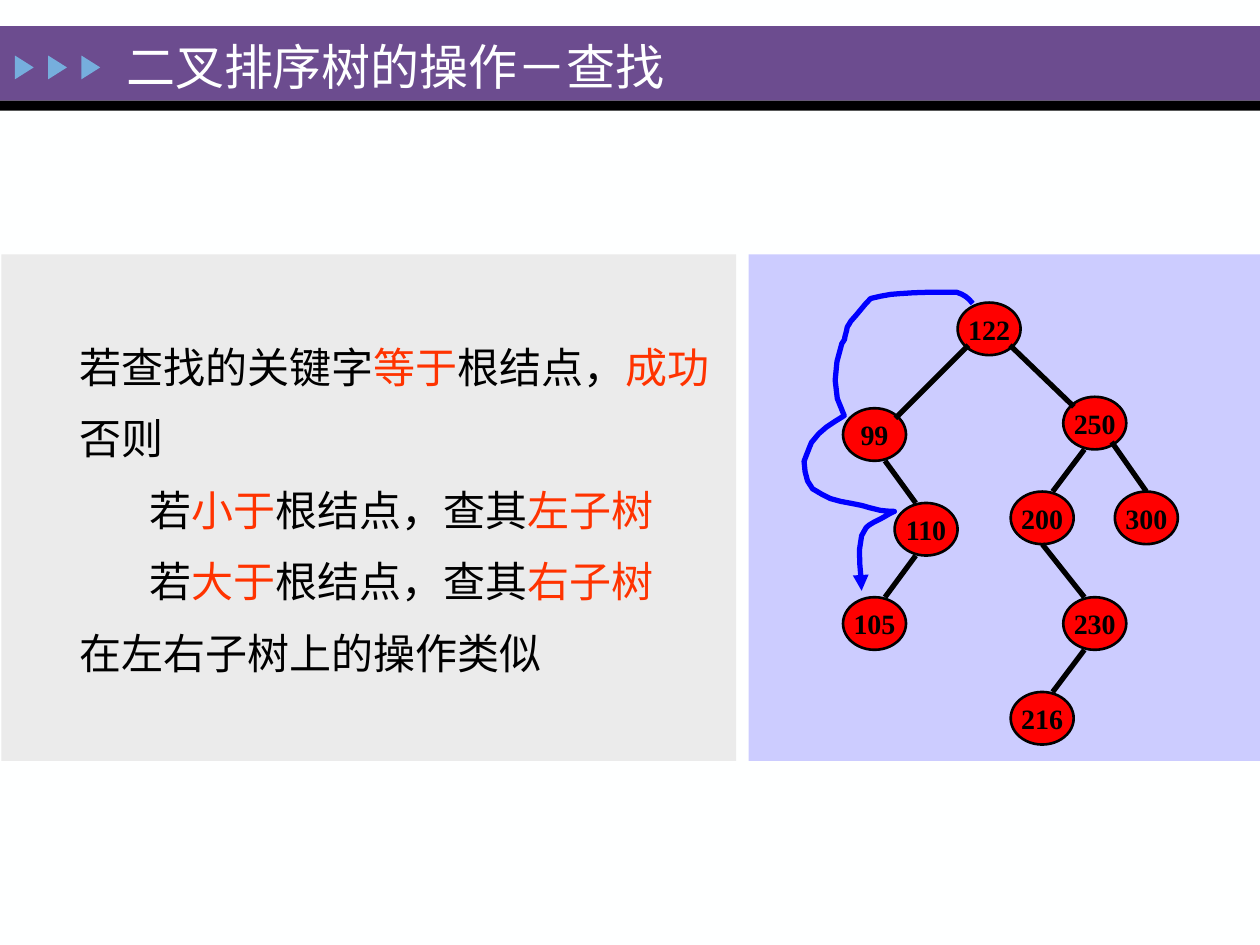
from typing import NamedTuple

from pptx import Presentation
from pptx.dml.color import RGBColor
from pptx.enum.shapes import MSO_CONNECTOR, MSO_SHAPE
from pptx.enum.text import MSO_ANCHOR, MSO_AUTO_SIZE, PP_ALIGN
from pptx.oxml.xmlchemy import OxmlElement
from pptx.util import Cm, Pt

RECTANGLE, TRIANGLE, OVAL = MSO_SHAPE.RECTANGLE, MSO_SHAPE.ISOSCELES_TRIANGLE, MSO_SHAPE.OVAL
STRAIGHT = MSO_CONNECTOR.STRAIGHT
MIDDLE, TOP = MSO_ANCHOR.MIDDLE, MSO_ANCHOR.TOP
CENTER, LEFT = PP_ALIGN.CENTER, PP_ALIGN.LEFT
NO_AUTOFIT = MSO_AUTO_SIZE.NONE

COLORS = {
    "paper": "FEFFFF", "band": "6C4C8F", "ink": "000000", "marker": "76AEDD",
    "tree panel": "CCCCFF", "text panel": "EBEBEB", "node": "FF0000",
    "keyword": "FF3300", "route": "0000FF",
}
FONT = "Times New Roman"


class Block(NamedTuple):
    left: float
    top: float
    width: float
    height: float
    color: str


class Node(NamedTuple):
    x: float
    y: float


class Edge(NamedTuple):
    """Offsets are distances from the node centres, towards the other node."""
    parent: int
    child: int
    start: tuple[float, float] = (0.21, 0.53)
    end: tuple[float, float] = (0.21, 0.53)


class Line(NamedTuple):
    indent: float
    spans: list[tuple[str, str]]


BLOCKS = [
    Block(0, 0.53, 25.4, 1.5, "band"),
    Block(0, 2.03, 25.4, 0.2, "ink"),
    Block(15.09, 5.13, 10.31, 10.21, "tree panel"),
    Block(0.03, 5.13, 14.81, 10.21, "text panel"),
]

NODE_WIDTH, NODE_HEIGHT = 1.27, 1.06
NODES = {
    122: Node(19.94, 6.63), 250: Node(22.07, 8.53), 300: Node(23.11, 10.44),
    110: Node(18.67, 10.67), 200: Node(21.01, 10.44), 99: Node(17.63, 8.76),
    105: Node(17.63, 12.57), 230: Node(22.07, 12.57), 216: Node(21.01, 14.48),
}
SHOULDER = (0.42, 0.33)
POLE = (0, 0.53)
EDGES = [
    Edge(122, 99, SHOULDER, SHOULDER), Edge(122, 250, SHOULDER, SHOULDER),
    Edge(250, 300, (0.34, 0.38), POLE), Edge(250, 200), Edge(99, 110),
    Edge(110, 105), Edge(200, 230, start=POLE), Edge(230, 216),
]

ROUTE_START = (19.61, 6.12)
# Each row holds two control points and the end point of a cubic curve.
ROUTE_CURVES = [
    ((19.51, 5.99), (19.43, 5.94), (19.28, 5.89)),
    ((18.9, 5.89), (18.52, 5.89), (18.14, 5.92)),
    ((17.93, 5.92), (17.55, 6.02), (17.55, 6.02)),
    ((17.4, 6.17), (17.3, 6.32), (17.15, 6.48)),
    ((17.12, 6.55), (17.07, 6.58), (17.07, 6.65)),
    ((16.97, 6.99), (17.09, 6.73), (16.97, 6.93)),
    ((16.81, 7.39), (16.76, 7.95), (17.02, 8.38)),
    ((16.74, 8.56), (16.56, 8.64), (16.36, 8.92)),
    ((16.31, 9.04), (16.26, 9.17), (16.21, 9.3)),
    ((16.23, 9.58), (16.26, 9.86), (16.56, 9.96)),
    ((16.76, 10.11), (17.12, 10.13), (17.37, 10.19)),
    ((17.45, 10.21), (17.53, 10.24), (17.63, 10.26)),
    ((17.75, 10.31), (18.03, 10.31), (18.03, 10.31)),
    ((17.91, 10.36), (17.78, 10.46), (17.63, 10.52)),
    ((17.42, 10.64), (17.48, 10.62), (17.37, 10.8)),
    ((17.27, 11.18), (17.37, 11.53), (17.37, 11.91)),
]
CURVE_STEPS = 4

LINES = [
    Line(1.27, [("若查找的关键字", "ink"), ("等于", "keyword"), ("根结点，", "ink"), ("成功", "keyword")]),
    Line(1.27, [("否则", "ink")]),
    Line(2.68, [("若", "ink"), ("小于", "keyword"), ("根结点，查其", "ink"), ("左子树", "keyword")]),
    Line(2.68, [("若", "ink"), ("大于", "keyword"), ("根结点，查其", "ink"), ("右子树", "keyword")]),
    Line(1.27, [("在左右子树上的操作类似", "ink")]),
]


def rgb(name: str) -> RGBColor:
    return RGBColor.from_string(COLORS[name])


def apply(target, values: dict) -> None:
    for name, value in values.items():
        setattr(target, name, value)


def add_span(para, text: str, color: str, size: float, bold: bool = False) -> None:
    span = para.add_run()
    span.text = text
    apply(span.font, {"name": FONT, "size": Pt(size), "bold": bold})
    span.font.color.rgb = rgb(color)


def draw_block(slide, block: Block, kind=RECTANGLE):
    shape = slide.shapes.add_shape(kind, *map(Cm, block[:4]))
    shape.shadow.inherit = False
    shape.fill.solid()
    shape.fill.fore_color.rgb = rgb(block.color)
    shape.line.fill.background()
    return shape


def draw_node(slide, key: int, node: Node) -> None:
    block = Block(node.x - NODE_WIDTH / 2, node.y - NODE_HEIGHT / 2, NODE_WIDTH, NODE_HEIGHT, "node")
    shape = draw_block(slide, block, OVAL)
    shape.line.color.rgb = rgb("ink")
    shape.line.width = Pt(1.5)
    apply(shape.text_frame, {"word_wrap": False, "vertical_anchor": MIDDLE})
    para = shape.text_frame.paragraphs[0]
    para.alignment = CENTER
    add_span(para, str(key), "ink", 16, bold=True)


def draw_edge(slide, edge: Edge) -> None:
    parent, child = NODES[edge.parent], NODES[edge.child]
    side = 1 if child.x > parent.x else -1
    ends = (parent.x + side * edge.start[0], parent.y + edge.start[1],
            child.x - side * edge.end[0], child.y - edge.end[1])
    line = slide.shapes.add_connector(STRAIGHT, *map(Cm, ends))
    line.line.color.rgb = rgb("ink")
    line.line.width = Pt(3)
    line.element.spPr.append(OxmlElement("a:effectLst"))


def curve_points(start, curves) -> list[tuple[int, int]]:
    points = []
    for first, second, end in curves:
        for step in range(1, CURVE_STEPS + 1):
            t = step / CURVE_STEPS
            weights = ((1 - t) ** 3, 3 * t * (1 - t) ** 2, 3 * t ** 2 * (1 - t), t ** 3)
            corners = zip(start, first, second, end)
            points.append(tuple(Cm(sum(w * v for w, v in zip(weights, axis))) for axis in corners))
        start = end
    return points


def draw_route(slide) -> None:
    builder = slide.shapes.build_freeform(*map(Cm, ROUTE_START))
    builder.add_line_segments(curve_points(ROUTE_START, ROUTE_CURVES), close=False)
    route = builder.convert_to_shape()
    route.shadow.inherit = False
    route.fill.background()
    route.line.color.rgb = rgb("route")
    route.line.width = Pt(3)
    arrowhead = OxmlElement("a:tailEnd")
    arrowhead.set("type", "triangle")
    route.line._get_or_add_ln().append(arrowhead)


def place_in_front(placeholder, left: float, top: float, width: float, height: float) -> None:
    apply(placeholder, {"left": Cm(left), "top": Cm(top), "width": Cm(width), "height": Cm(height)})
    placeholder.element.getparent().append(placeholder.element)


def fill_title(title) -> None:
    place_in_front(title, 2.29, 0.61, 14.99, 1.42)
    apply(title.text_frame, {"auto_size": NO_AUTOFIT, "vertical_anchor": MIDDLE, "word_wrap": True})
    para = title.text_frame.paragraphs[0]
    para.alignment = LEFT
    add_span(para, "二叉排序树的操作－查找", "paper", 28)


def fill_body(body) -> None:
    place_in_front(body, 0.08, 6.45, 15.34, 7.44)
    frame = body.text_frame
    apply(frame, {"auto_size": NO_AUTOFIT, "vertical_anchor": TOP, "word_wrap": True, "margin_top": 0})
    for index, line in enumerate(LINES):
        para = frame.add_paragraph() if index else frame.paragraphs[0]
        properties = para._p.get_or_add_pPr()
        properties.set("marL", str(Cm(line.indent)))
        properties.set("indent", "0")
        properties.append(OxmlElement("a:buNone"))
        apply(para, {"alignment": LEFT, "line_spacing": Pt(40.9), "space_before": Pt(0)})
        for text, color in line.spans:
            add_span(para, text, color, 24)


def main() -> None:
    deck = Presentation()
    apply(deck, {"slide_width": Cm(25.4), "slide_height": Cm(19.05)})
    slide = deck.slides.add_slide(deck.slide_layouts[1])
    slide.background.fill.solid()
    slide.background.fill.fore_color.rgb = rgb("paper")
    title, body = slide.placeholders
    for block in BLOCKS:
        draw_block(slide, block)
    for index in range(3):
        marker = draw_block(slide, Block(0.25 + 0.67 * index, 1.17, 0.48, 0.38, "marker"), TRIANGLE)
        marker.rotation = 90
    fill_body(body)
    for key, node in NODES.items():
        draw_node(slide, key, node)
    for edge in EDGES:
        draw_edge(slide, edge)
    draw_route(slide)
    fill_title(title)
    deck.save("out.pptx")


if __name__ == "__main__":
    main()
